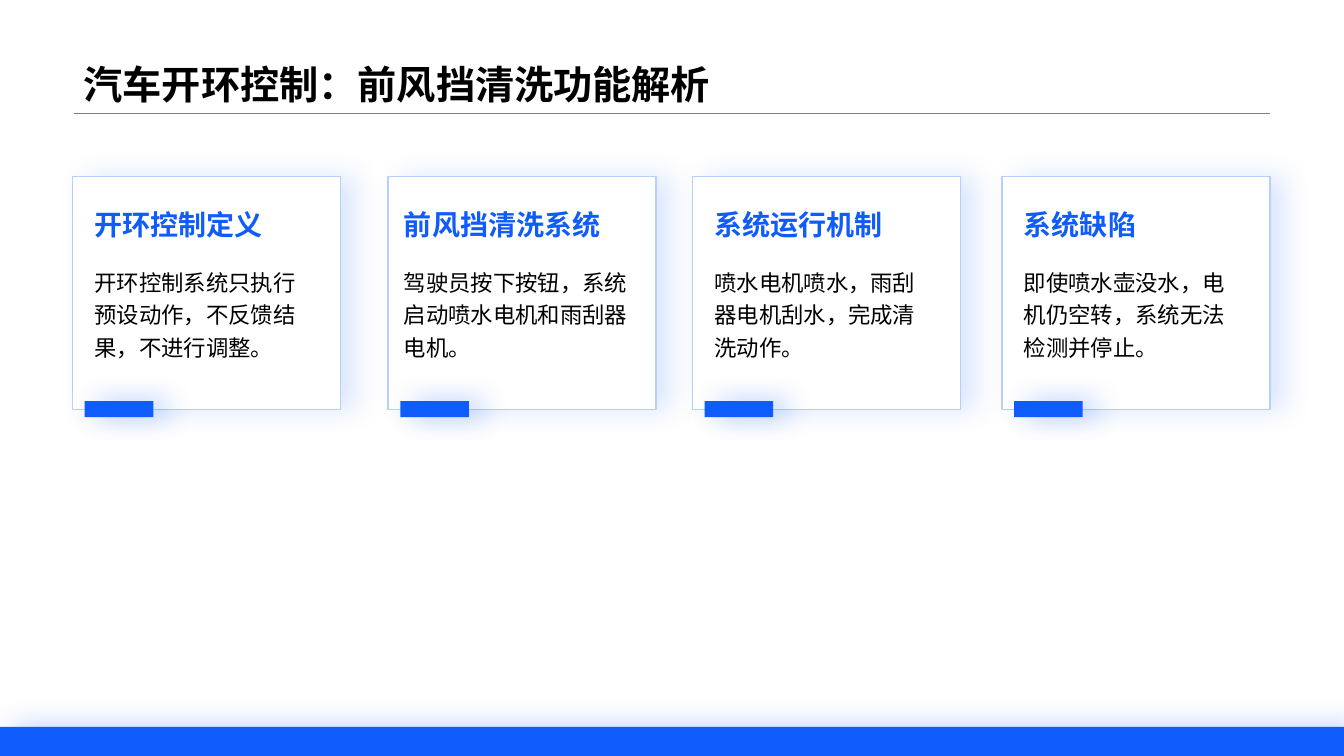
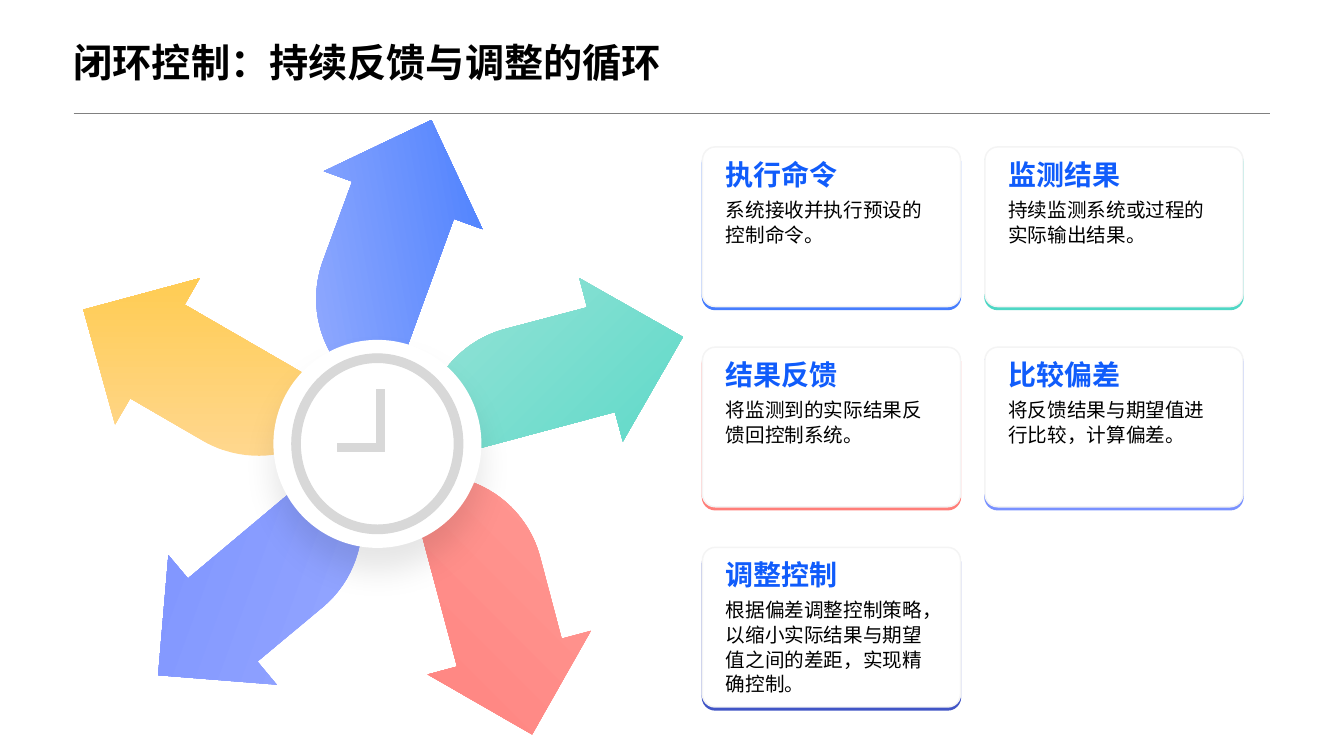
"""Build two slides on open-loop and closed-loop control."""
from dataclasses import dataclass

from lxml import etree
from pptx import Presentation
from pptx import util as u
from pptx.dml.color import RGBColor
from pptx.enum import shapes, text
from pptx.oxml.ns import qn

Pt = u.Pt
COLORS = {
    "blue": "105CFB", "border": "B7CEFE", "white": "FFFFFF", "black": "000000",
    "rule": "808080", "edge": "F4F4F4", "clock": "D8D8D8",
    "azure": "467DFE", "azure_light": "9AAFFE",
    "teal": "4ED7C5", "teal_light": "A2E4D9",
    "coral": "FF7E79", "coral_light": "FF9D99",
    "violet": "7991FF", "violet_light": "99A9FF",
    "amber": "FFCC53", "amber_light": "FFD78E", "navy": "4155C6",
}
CJK_FONT = "Noto Sans CJK SC"
TITLE_FONT = "Arial"
RECT = shapes.MSO_SHAPE.RECTANGLE
ROUNDED = shapes.MSO_SHAPE.ROUNDED_RECTANGLE
TOP = text.MSO_ANCHOR.TOP
MIDDLE = text.MSO_ANCHOR.MIDDLE
BOTTOM = text.MSO_ANCHOR.BOTTOM


@dataclass(frozen=True)
class Shadow:
    color: str
    alpha: int
    blur: float
    distance: float
    angle: int


@dataclass(frozen=True)
class TextStyle:
    size: float
    font: str
    color: str = "black"
    bold: bool = False
    spacing: float = 1.0
    anchor: text.MSO_ANCHOR = TOP
    inset_x: float = 7.2
    inset_y: float = 3.6


@dataclass(frozen=True)
class Panel:
    left: float
    text_left: float
    text_width: float
    heading: str
    body: str


@dataclass(frozen=True)
class Step:
    accent: str
    heading: str
    body: str


@dataclass(frozen=True)
class Arrow:
    center_x: float
    center_y: float
    rotation: float
    light: str
    dark: str


PANEL_SHADOW = Shadow("blue", 15, 20, 10, 0)
ACCENT_SHADOW = Shadow("blue", 32, 20, 10, 0)
HUB_SHADOW = Shadow("black", 9, 23.1, 15.7, 90)

OPEN_TITLE = TextStyle(28, TITLE_FONT, bold=True, anchor=BOTTOM)
LOOP_TITLE = TextStyle(28, TITLE_FONT, bold=True, spacing=1.25, anchor=MIDDLE,
                       inset_x=0, inset_y=0)
PANEL_HEADING = TextStyle(20, CJK_FONT, "blue", True, anchor=BOTTOM)
PANEL_BODY = TextStyle(16, CJK_FONT, spacing=1.2)
STEP_HEADING = TextStyle(20, TITLE_FONT, "blue", True, anchor=MIDDLE,
                         inset_x=2.9, inset_y=2.9)
STEP_BODY = TextStyle(14, CJK_FONT, spacing=1.05, inset_x=2.9, inset_y=2.9)

PANELS = [
    Panel(51.8, 60.5, 172.8, "开环控制定义",
          "开环控制系统只执行预设动作，不反馈结果，不进行调整。"),
    Panel(277.2, 281.5, 182.9, "前风挡清洗系统",
          "驾驶员按下按钮，系统启动喷水电机和雨刮器电机。"),
    Panel(494.6, 503.3, 172.8, "系统运行机制",
          "喷水电机喷水，雨刮器电机刮水，完成清洗动作。"),
    Panel(715.7, 724.3, 172.8, "系统缺陷",
          "即使喷水壶没水，电机仍空转，系统无法检测并停止。"),
]
STEPS = [
    Step("azure", "执行命令", "系统接收并执行预设的控制命令。"),
    Step("teal", "监测结果", "持续监测系统或过程的实际输出结果。"),
    Step("coral", "结果反馈", "将监测到的实际结果反馈回控制系统。"),
    Step("violet", "比较偏差", "将反馈结果与期望值进行比较，计算偏差。"),
    Step("navy", "调整控制",
         "根据偏差调整控制策略，以缩小实际结果与期望值之间的差距，实现精确控制。"),
]
ARROWS = [
    Arrow(391, 279.4, 225, "teal_light", "teal"),
    Arrow(341.3, 427.7, 315, "coral_light", "coral"),
    Arrow(184.3, 406.1, 20, "violet_light", "violet"),
    Arrow(155.5, 262.1, 90, "amber_light", "amber"),
    Arrow(284.4, 187.2, 170, "azure_light", "azure"),
]
ARROW_HEAD = [(-41, 96), (-63.4, 13), (-44.6, 23.8)]
ARROW_BEND = [(24.5, -95.8), (62, -75), (74, -27.4), (53.3, 9.4)]
ARROW_END = [(22.3, 62.6), (41, 73.4)]
CLOCK_HANDS = [(269.3, 316.8), (241.2, 316.8), (241.2, 322.6),
               (275, 322.6), (275, 277.9), (269.3, 277.9)]


def rgb(name: str) -> RGBColor:
    return RGBColor.from_string(COLORS[name])


def set_shadow(shape, shadow: Shadow | None) -> None:
    shape.shadow.inherit = False
    if shadow is None:
        return
    effects = shape._element.spPr.find(qn("a:effectLst"))
    outer = etree.SubElement(
        effects, qn("a:outerShdw"), blurRad=str(Pt(shadow.blur)),
        dist=str(Pt(shadow.distance)), dir=str(shadow.angle * 60000),
        algn="ctr", rotWithShape="0")
    color = etree.SubElement(outer, qn("a:srgbClr"), val=COLORS[shadow.color])
    etree.SubElement(color, qn("a:alpha"), val=str(shadow.alpha * 1000))


def set_line(shape, color: str | None, width: float) -> None:
    if color is None:
        shape.line.fill.background()
        return
    shape.line.color.rgb = rgb(color)
    shape.line.width = Pt(width)


def add_block(page, kind, left: float, top: float, width: float, height: float,
              fill: str, line: str | None = None, line_width: float = 1,
              shadow: Shadow | None = None, adjust: float | None = None) -> None:
    shape = page.shapes.add_shape(kind, Pt(left), Pt(top), Pt(width), Pt(height))
    if adjust is not None:
        shape.adjustments[0] = adjust
    shape.fill.solid()
    shape.fill.fore_color.rgb = rgb(fill)
    set_line(shape, line, line_width)
    set_shadow(shape, shadow)


def write_text(box, words: str, style: TextStyle) -> None:
    frame = box.text_frame
    frame.word_wrap = True
    frame.auto_size = text.MSO_AUTO_SIZE.NONE
    frame.vertical_anchor = style.anchor
    frame.margin_left = frame.margin_right = Pt(style.inset_x)
    frame.margin_top = frame.margin_bottom = Pt(style.inset_y)
    frame.text = words
    para = frame.paragraphs[0]
    para.alignment = text.PP_ALIGN.LEFT
    para.line_spacing = style.spacing
    para.space_before = Pt(0)
    para.font.size = Pt(style.size)
    para.font.bold = style.bold
    para.font.color.rgb = rgb(style.color)
    para.font.name = style.font
    defaults = para._p.pPr.find(qn("a:defRPr"))
    etree.SubElement(defaults, qn("a:ea"), typeface=CJK_FONT)


def add_text(page, left: float, top: float, width: float, height: float,
             words: str, style: TextStyle) -> None:
    box = page.shapes.add_textbox(Pt(left), Pt(top), Pt(width), Pt(height))
    write_text(box, words, style)


def add_polygon(page, points: list[tuple[float, float]]):
    corners = [(Pt(x), Pt(y)) for x, y in points]
    builder = page.shapes.build_freeform(*corners[0], scale=1.0)
    builder.add_line_segments(corners[1:], close=True)
    shape = builder.convert_to_shape()
    set_shadow(shape, None)
    return shape


def bezier(controls: list[tuple[float, float]],
           count: int = 24) -> list[tuple[float, float]]:
    points = []
    for index in range(count + 1):
        t = index / count
        weights = ((1 - t) ** 3, 3 * t * (1 - t) ** 2, 3 * t * t * (1 - t), t ** 3)
        points.append((sum(w * x for w, (x, _) in zip(weights, controls)),
                       sum(w * y for w, (_, y) in zip(weights, controls))))
    return points


def add_page(deck, title: str, style: TextStyle):
    page = deck.slides.add_slide(deck.slide_layouts[5])
    box = page.shapes.title
    box.left, box.top, box.width, box.height = Pt(52.6), Pt(0), Pt(854.6), Pt(80.6)
    write_text(box, title, style)
    rule = page.shapes.add_connector(
        shapes.MSO_CONNECTOR.STRAIGHT, Pt(52.6), Pt(81), Pt(907.2), Pt(81))
    set_line(rule, "rule", 0.25)
    etree.SubElement(rule._element.spPr, qn("a:effectLst"))
    return page


def add_panel(page, panel: Panel) -> None:
    add_block(page, ROUNDED, panel.left, 126, 191.5, 166.3, "white", "border",
              shadow=PANEL_SHADOW, adjust=0)
    add_block(page, RECT, panel.left + 8.7, 286.5, 49, 11.5, "blue",
              shadow=ACCENT_SHADOW)
    add_text(page, panel.text_left, 185, panel.text_width, 74.2, panel.body, PANEL_BODY)
    add_text(page, panel.text_left, 144, 172.8, 31.7, panel.heading, PANEL_HEADING)


def add_step(page, index: int, step: Step) -> None:
    row, column = divmod(index, 2)
    left, top = 501.8 + 201.8 * column, 105 + 143 * row
    add_block(page, ROUNDED, left, top, 184.3, 114, "white", "edge", 1.05,
              Shadow(step.accent, 100, 0, 2.1, 90), 0.08)
    add_text(page, left + 13.7, top + 5.8, 157, 26.8, step.heading, STEP_HEADING)
    add_text(page, left + 13.7, top + 32.6, 157, 75.6, step.body, STEP_BODY)


def add_arrow(page, arrow: Arrow) -> None:
    outline = ARROW_HEAD + bezier(ARROW_BEND) + ARROW_END
    shape = add_polygon(page, [(arrow.center_x + x, arrow.center_y + y)
                               for x, y in outline])
    shape.rotation = arrow.rotation
    shape.fill.gradient()
    shape.fill.gradient_angle = 180
    for stop, color in zip(shape.fill.gradient_stops, (arrow.light, arrow.dark)):
        stop.color.rgb = rgb(color)
    set_line(shape, None, 0)


def add_clock(page) -> None:
    add_block(page, shapes.MSO_SHAPE.OVAL, 195.3, 242.8, 148.6, 148.6, "white",
              shadow=HUB_SHADOW)
    add_block(page, shapes.MSO_SHAPE.DONUT, 208.4, 252.8, 122.2, 128.4, "clock",
              "clock", 0.79, adjust=0.05)
    hands = add_polygon(page, CLOCK_HANDS)
    hands.fill.solid()
    hands.fill.fore_color.rgb = rgb("clock")
    set_line(hands, "clock", 0.79)


def main() -> None:
    deck = Presentation()
    deck.slide_width, deck.slide_height = Pt(960), Pt(540)

    open_loop = add_page(deck, "汽车开环控制：前风挡清洗功能解析", OPEN_TITLE)
    add_block(open_loop, RECT, 0, 519.2, 960, 20.8, "blue", shadow=ACCENT_SHADOW)
    for panel in PANELS:
        add_panel(open_loop, panel)

    closed_loop = add_page(deck, "闭环控制：持续反馈与调整的循环", LOOP_TITLE)
    for index, step in enumerate(STEPS):
        add_step(closed_loop, index, step)
    for arrow in ARROWS:
        add_arrow(closed_loop, arrow)
    add_clock(closed_loop)

    deck.save("out.pptx")


if __name__ == "__main__":
    main()
